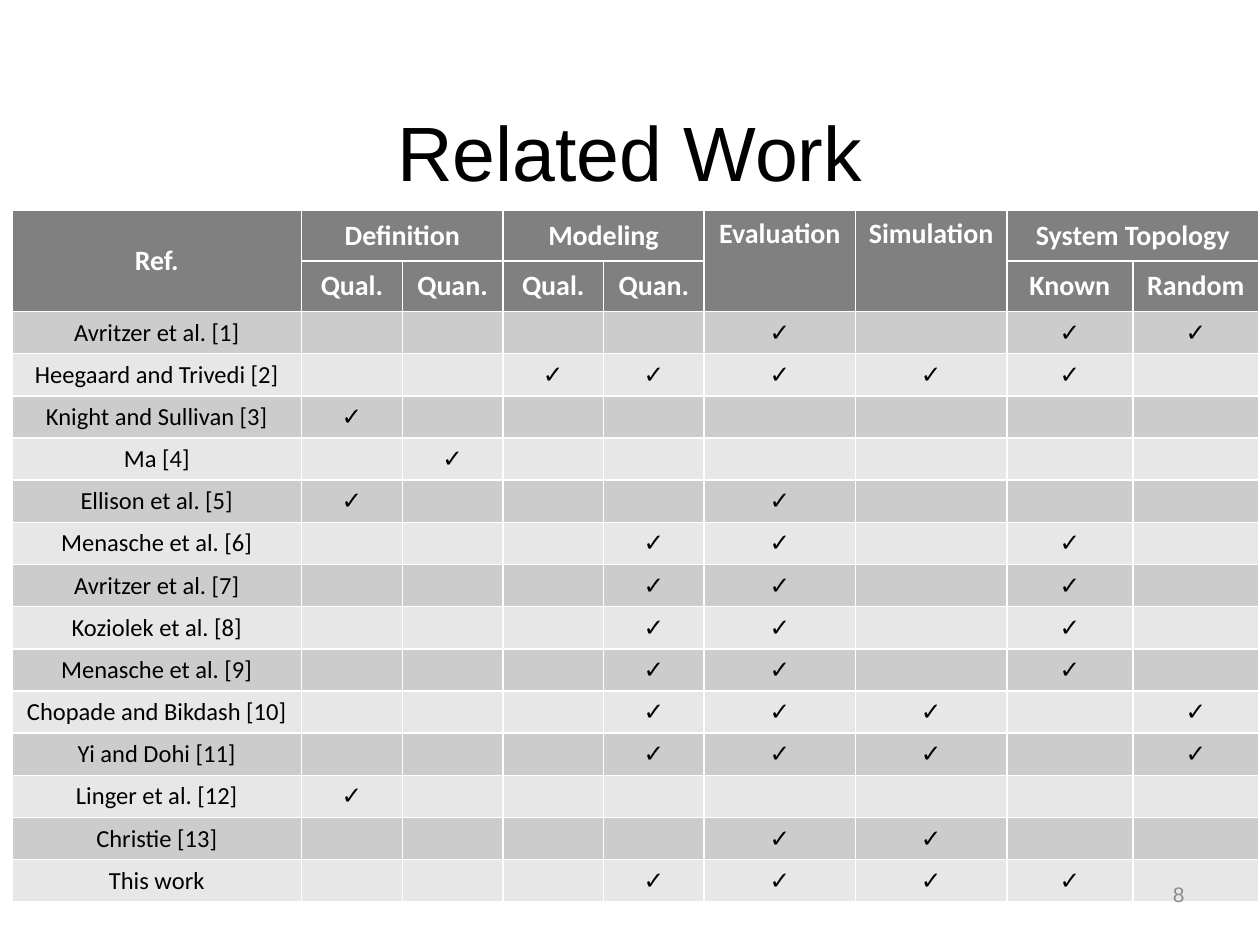
from dataclasses import dataclass

from lxml import etree
from pptx import Presentation
from pptx import util as u
from pptx.dml.color import RGBColor
from pptx.enum import text
from pptx.oxml.ns import qn


@dataclass(frozen=True)
class Theme:
    heading_font: str = "Arial"
    table_font: str = "Calibri"
    title_size: int = 44
    header_size: int = 16
    body_size: int = 14
    number_size: int = 12
    ink: str = "000000"
    white: str = "FFFFFF"
    number: str = "8C8C8C"
    header_fill: str = "808080"
    bands: tuple[str, str] = ("CCCCCC", "E7E7E7")
    border_width: float = 1


@dataclass(frozen=True)
class TextStyle:
    font: str
    size: int
    color: str
    bold: bool = False
    align: text.PP_ALIGN = text.PP_ALIGN.CENTER


@dataclass(frozen=True)
class Box:
    left: float
    top: float
    width: float
    height: float

    def lengths(self) -> tuple[u.Length, ...]:
        return tuple(u.Cm(v) for v in (self.left, self.top, self.width, self.height))


@dataclass(frozen=True)
class Header:
    label: str
    row: int
    column: int
    row_span: int = 1
    column_span: int = 1
    anchor: text.MSO_ANCHOR = text.MSO_ANCHOR.MIDDLE


@dataclass(frozen=True)
class Work:
    """A reference and the columns it covers."""
    name: str
    checked: tuple[int, ...]


THEME = Theme()
TITLE = TextStyle(THEME.heading_font, THEME.title_size, THEME.ink)
NUMBER = TextStyle(THEME.heading_font, THEME.number_size, THEME.number,
                   align=text.PP_ALIGN.RIGHT)
HEADER = TextStyle(THEME.table_font, THEME.header_size, THEME.white, bold=True)
BODY = TextStyle(THEME.table_font, THEME.body_size, THEME.ink)

(QUAL_DEFINITION, QUAN_DEFINITION, QUAL_MODEL, QUAN_MODEL,
 EVALUATION, SIMULATION, KNOWN, RANDOM) = range(1, 9)
COLUMN_WIDTHS = [5.84] + [2.03] * 4 + [3.05] * 2 + [2.54] * 2
HEADER_ROWS = 2
HEADER_HEIGHT, BODY_HEIGHT = 1.02, 0.85

HEADERS = [
    Header("Ref.", 0, 0, row_span=2),
    Header("Definition", 0, QUAL_DEFINITION, column_span=2),
    Header("Modeling", 0, QUAL_MODEL, column_span=2),
    Header("Evaluation", 0, EVALUATION, row_span=2, anchor=text.MSO_ANCHOR.TOP),
    Header("Simulation", 0, SIMULATION, row_span=2, anchor=text.MSO_ANCHOR.TOP),
    Header("System Topology", 0, KNOWN, column_span=2),
    Header("Qual.", 1, QUAL_DEFINITION),
    Header("Quan.", 1, QUAN_DEFINITION),
    Header("Qual.", 1, QUAL_MODEL),
    Header("Quan.", 1, QUAN_MODEL),
    Header("Known", 1, KNOWN),
    Header("Random", 1, RANDOM),
]

WORKS = [
    Work("Avritzer et al. [1]", (EVALUATION, KNOWN, RANDOM)),
    Work("Heegaard and Trivedi [2]",
         (QUAL_MODEL, QUAN_MODEL, EVALUATION, SIMULATION, KNOWN)),
    Work("Knight and Sullivan [3]", (QUAL_DEFINITION,)),
    Work("Ma [4]", (QUAN_DEFINITION,)),
    Work("Ellison et al. [5]", (QUAL_DEFINITION, EVALUATION)),
    Work("Menasche et al. [6]", (QUAN_MODEL, EVALUATION, KNOWN)),
    Work("Avritzer et al. [7]", (QUAN_MODEL, EVALUATION, KNOWN)),
    Work("Koziolek et al. [8]", (QUAN_MODEL, EVALUATION, KNOWN)),
    Work("Menasche et al. [9]", (QUAN_MODEL, EVALUATION, KNOWN)),
    Work("Chopade and Bikdash [10]", (QUAN_MODEL, EVALUATION, SIMULATION, RANDOM)),
    Work("Yi and Dohi [11]", (QUAN_MODEL, EVALUATION, SIMULATION, RANDOM)),
    Work("Linger et al. [12]", (QUAL_DEFINITION,)),
    Work("Christie [13]", (EVALUATION, SIMULATION)),
    Work("This work", (QUAN_MODEL, EVALUATION, SIMULATION, KNOWN)),
]


def write(frame, content: str, style: TextStyle) -> None:
    paragraph = frame.paragraphs[0]
    paragraph.alignment = style.align
    font = paragraph.font
    font.name, font.size, font.bold = style.font, u.Pt(style.size), style.bold
    font.color.rgb = RGBColor.from_string(style.color)
    if content:
        paragraph.add_run().text = content
    else:  # an empty cell takes its line height from the end mark
        end = etree.SubElement(paragraph._p, qn("a:endParaRPr"))
        end.set("sz", str(style.size * 100))


def add_text(slide, box: Box, content: str, style: TextStyle) -> None:
    frame = slide.shapes.add_textbox(*box.lengths()).text_frame
    frame.word_wrap = True
    frame.vertical_anchor = text.MSO_ANCHOR.MIDDLE
    write(frame, content, style)


def paint_cell(cell, fill: str) -> None:
    """Give the cell white borders on all sides and a solid fill."""
    properties = cell._tc.get_or_add_tcPr()
    for side in ("a:lnL", "a:lnR", "a:lnT", "a:lnB"):
        line = etree.SubElement(properties, qn(side), w=str(u.Pt(THEME.border_width)))
        solid = etree.SubElement(line, qn("a:solidFill"))
        etree.SubElement(solid, qn("a:srgbClr"), val=THEME.white)
    cell.fill.solid()
    cell.fill.fore_color.rgb = RGBColor.from_string(fill)


def add_work_table(slide, left: float, top: float) -> None:
    heights = [HEADER_HEIGHT] * HEADER_ROWS + [BODY_HEIGHT] * len(WORKS)
    box = Box(left, top, sum(COLUMN_WIDTHS), sum(heights))
    table = slide.shapes.add_table(
        len(heights), len(COLUMN_WIDTHS), *box.lengths()).table
    table.first_row = table.horz_banding = False
    for column, width in zip(table.columns, COLUMN_WIDTHS):
        column.width = u.Cm(width)
    for row, height in zip(table.rows, heights):
        row.height = u.Cm(height)

    for row in range(HEADER_ROWS):
        for cell in table.rows[row].cells:
            paint_cell(cell, THEME.header_fill)
    for header in HEADERS:
        cell = table.cell(header.row, header.column)
        if header.row_span * header.column_span > 1:
            cell.merge(table.cell(header.row + header.row_span - 1,
                                  header.column + header.column_span - 1))
        cell.vertical_anchor = header.anchor
        write(cell.text_frame, header.label, HEADER)

    for index, work in enumerate(WORKS):
        for column, cell in enumerate(table.rows[HEADER_ROWS + index].cells):
            mark = "✓" if column in work.checked else ""
            paint_cell(cell, THEME.bands[index % 2])
            cell.vertical_anchor = text.MSO_ANCHOR.MIDDLE
            write(cell.text_frame, mark if column else work.name, BODY)


def main() -> None:
    presentation = Presentation()
    presentation.slide_width, presentation.slide_height = u.Cm(25.4), u.Cm(19.05)
    slide = presentation.slides.add_slide(presentation.slide_layouts[6])
    add_text(slide, Box(1.27, 1.45, 22.86, 3.18), "Related Work", TITLE)
    add_work_table(slide, 0.24, 4.24)
    add_text(slide, Box(18.2, 17.53, 5.93, 1.01), "8", NUMBER)
    presentation.save("out.pptx")


if __name__ == "__main__":
    main()
